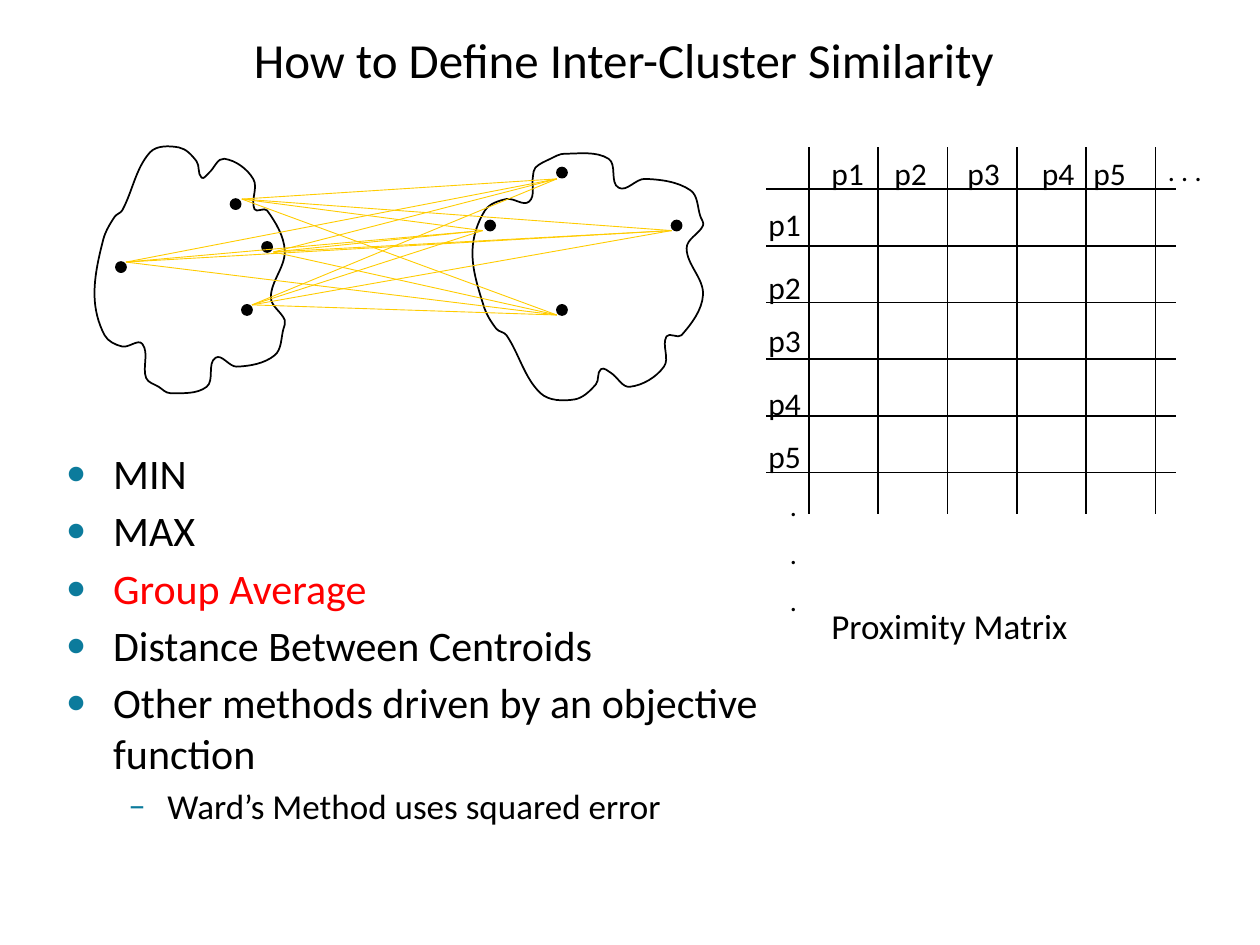
from dataclasses import dataclass
from itertools import product
from math import hypot
from lxml.etree import SubElement
from pptx import Presentation
from pptx.dml.color import RGBColor
from pptx.enum.shapes import MSO_CONNECTOR, MSO_SHAPE
from pptx.enum.text import MSO_ANCHOR, MSO_AUTO_SIZE, PP_ALIGN
from pptx.oxml.ns import qn
from pptx.util import Inches, Pt


@dataclass(frozen=True)
class Theme:
    font: str = "Calibri"
    ink: str = "000000"
    highlight: str = "FF0000"
    bullet: str = "0C7B9C"
    link: str = "FFCC00"
    title: int = 28
    body: int = 24
    sub: int = 20
    label: int = 18
    dots: int = 16
    outline: float = 1
    thin: float = 0.5


THEME = Theme()
TITLE = "How to Define Inter-Cluster Similarity"
CAPTION = "Proximity Matrix"
METHODS = [
    ("MIN", 0, THEME.ink),
    ("MAX", 0, THEME.ink),
    ("Group Average", 0, THEME.highlight),
    ("Distance Between Centroids", 0, THEME.ink),
    ("Other methods driven by an objective function", 0, THEME.ink),
    ("Ward’s Method uses squared error", 1, THEME.ink),
]
BULLETS = [("●", 75, 0.38, -0.37, THEME.body), ("–", 100, 0.81, -0.31, THEME.sub)]
POINTS = ["p1", "p2", "p3", "p4", "p5"]
COLUMN_LABEL_X = [6.5, 7, 7.58, 8.17, 8.58]
ROW_LABEL_Y = [1.58, 2.08, 2.5, 3, 3.42]
GRID_LEFT, GRID_RIGHT, GRID_TOP, GRID_BOTTOM = 6.08, 9.33, 1.17, 4.08
FIRST_COLUMN, COLUMN_GAP, FIRST_ROW, ROW_GAP, RULES = 6.42, 0.55, 1.5, 0.45, 6
DOT = 0.08
LEFT_DOTS = [(1.92, 2.42), (1.83, 1.58), (0.92, 2.08), (2.08, 1.92)]
RIGHT_DOTS = [(5.33, 1.75), (3.85, 1.75), (4.42, 2.42), (4.42, 1.33)]
LINK_STARTS = [(2, 2.42), (2.17, 2), (1, 2.08), (1.92, 1.58)]
LINK_ENDS = [(4.42, 2.5), (3.83, 1.83), (4.42, 1.42), (5.33, 1.83)]
LEFT_CLUSTER = [
    (0.91, 1.72), (0.82, 1.9), (0.75, 2.34), (0.83, 2.66), (0.97, 2.75), (1.13, 2.73),
    (1.16, 3), (1.26, 3.07), (1.35, 3.12), (1.64, 3.07), (1.71, 2.84), (1.88, 2.91),
    (2.18, 2.82), (2.25, 2.61), (2.26, 2.54), (2.15, 2.36), (2.26, 1.99), (2.12, 1.67),
    (2.02, 1.66), (2.01, 1.42), (1.78, 1.26), (1.66, 1.37), (1.6, 1.41), (1.56, 1.28),
    (1.42, 1.17), (1.19, 1.21), (0.97, 1.67),
]
RIGHT_CLUSTER = [
    (3.94, 2.61), (3.84, 2.43), (3.75, 2), (3.85, 1.67), (4.02, 1.58), (4.2, 1.6),
    (4.23, 1.4), (4.25, 1.33), (4.37, 1.26), (4.48, 1.22), (4.83, 1.26), (4.91, 1.49),
    (5.12, 1.42), (5.48, 1.51), (5.56, 1.72), (5.58, 1.79), (5.45, 1.97), (5.58, 2.34),
    (5.41, 2.66), (5.29, 2.67), (5.27, 2.91), (5, 3.07), (4.85, 2.96), (4.77, 2.93),
    (4.73, 3.05), (4.56, 3.17), (4.29, 3.12), (4.02, 2.66),
]

prs = Presentation()
prs.slide_width, prs.slide_height = Inches(10), Inches(7.5)
slide = prs.slides.add_slide(prs.slide_layouts[5])
shapes = slide.shapes


def place(shape, box):
    shape.left, shape.top, shape.width, shape.height = map(Inches, box)


def write(paragraph, text, size=THEME.label, color=THEME.ink, before=0, after=0, align=None):
    run = paragraph.add_run()
    run.text = text
    run.font.name, run.font.size = THEME.font, Pt(size)
    run.font.color.rgb = RGBColor.from_string(color)
    paragraph.space_before, paragraph.space_after = Pt(before), Pt(after)
    paragraph.alignment = align


def text_box(box, lines, grow=True, **style):
    frame = shapes.add_textbox(*map(Inches, box)).text_frame
    frame.word_wrap = True
    frame.auto_size = MSO_AUTO_SIZE.SHAPE_TO_FIT_TEXT if grow else MSO_AUTO_SIZE.NONE
    for index, line in enumerate(lines):
        write(frame.add_paragraph() if index else frame.paragraphs[0], line, **style)
    return frame


def line(start, end, color=THEME.ink, width=THEME.outline):
    connector = shapes.add_connector(MSO_CONNECTOR.STRAIGHT, *map(Inches, start + end))
    connector.line.color.rgb = RGBColor.from_string(color)
    connector.line.width = Pt(width)
    SubElement(connector._element.spPr, qn("a:effectLst"))


def outline(shape):
    shape.shadow.inherit = False
    shape.line.color.rgb = RGBColor.from_string(THEME.ink)
    shape.line.width = Pt(THEME.outline)


def tangent(knots, index):
    (x0, y0), (x1, y1) = knots[index - 1], knots[(index + 1) % len(knots)]
    length = hypot(x1 - x0, y1 - y0)
    return (x1 - x0) / length, (y1 - y0) / length


def cluster(knots):
    builder = shapes.build_freeform(Inches(knots[0][0]), Inches(knots[0][1]), scale=1)
    builder.add_line_segments([tuple(map(Inches, knot)) for knot in knots[1:] + knots[:1]])
    shape = builder.convert_to_shape()
    shape.fill.background()
    outline(shape)
    left, top = min(x for x, _ in knots), min(y for _, y in knots)
    for index, segment in enumerate(list(shape._element.iter(qn("a:lnTo")))):
        following = (index + 1) % len(knots)
        (x0, y0), (x1, y1) = knots[index], knots[following]
        (u0, v0), (u1, v1) = tangent(knots, index), tangent(knots, following)
        reach = hypot(x1 - x0, y1 - y0) / 3
        controls = [(x0 + u0 * reach, y0 + v0 * reach), (x1 - u1 * reach, y1 - v1 * reach), (x1, y1)]
        segment.addprevious(curve := SubElement(segment.getparent(), qn("a:cubicBezTo")))
        for x, y in controls:
            SubElement(curve, qn("a:pt"), x=str(Inches(x - left)), y=str(Inches(y - top)))
        segment.getparent().remove(segment)


def add_bullet(paragraph, mark, percent, margin, indent):
    properties = paragraph._p.get_or_add_pPr()
    properties.set("marL", str(Inches(margin)))
    properties.set("indent", str(Inches(indent)))
    SubElement(SubElement(properties, qn("a:buClr")), qn("a:srgbClr"), val=THEME.bullet)
    SubElement(properties, qn("a:buSzPct"), val=str(percent * 1000))
    SubElement(properties, qn("a:buFont"), typeface=THEME.font)
    SubElement(properties, qn("a:buChar"), char=mark)


heading = shapes.title
place(heading, (0.42, 0.17, 9.06, 0.6))
heading.text_frame.auto_size = MSO_AUTO_SIZE.NONE
heading.text_frame.vertical_anchor = MSO_ANCHOR.MIDDLE
write(heading.text_frame.paragraphs[0], TITLE, size=THEME.title, align=PP_ALIGN.CENTER)

for index in range(RULES):
    x, y = FIRST_COLUMN + index * COLUMN_GAP, FIRST_ROW + index * ROW_GAP
    line((x, GRID_TOP), (x, GRID_BOTTOM))
    line((GRID_LEFT, y), (GRID_RIGHT, y))
for point, x, y in zip(POINTS, COLUMN_LABEL_X, ROW_LABEL_Y):
    text_box((x, GRID_TOP, 0.58, 0.4), [point], before=9)
    text_box((6, y, 0.58, 0.4), [point], before=9)
text_box((9.17, GRID_TOP, 0.58, 0.36), [". . ."], size=THEME.dots, before=8)
text_box((6.17, 3.83, 0.58, 1.12), [".", ".", "."], size=THEME.dots, before=8)
text_box((6.5, 4.75, 2.75, 0.43), [CAPTION], size=THEME.sub, before=10)

for knots, dots in ((LEFT_CLUSTER, LEFT_DOTS), (RIGHT_CLUSTER, RIGHT_DOTS)):
    cluster(knots)
    for x, y in dots:
        dot = shapes.add_shape(MSO_SHAPE.OVAL, *map(Inches, (x, y, DOT, DOT)))
        dot.fill.solid()
        dot.fill.fore_color.rgb = RGBColor.from_string(THEME.ink)
        outline(dot)
for start, end in product(LINK_STARTS, LINK_ENDS):
    line(start, end, color=THEME.link, width=THEME.thin)

methods = text_box((0.42, 3.5, 6.33, 3.42), [], grow=False)
for index, (method, level, color) in enumerate(METHODS):
    mark, percent, margin, indent, size = BULLETS[level]
    paragraph = methods.add_paragraph() if index else methods.paragraphs[0]
    paragraph.level = level
    write(paragraph, method, size=size, color=color, before=2, after=2)
    add_bullet(paragraph, mark, percent, margin, indent)

prs.save("out.pptx")
